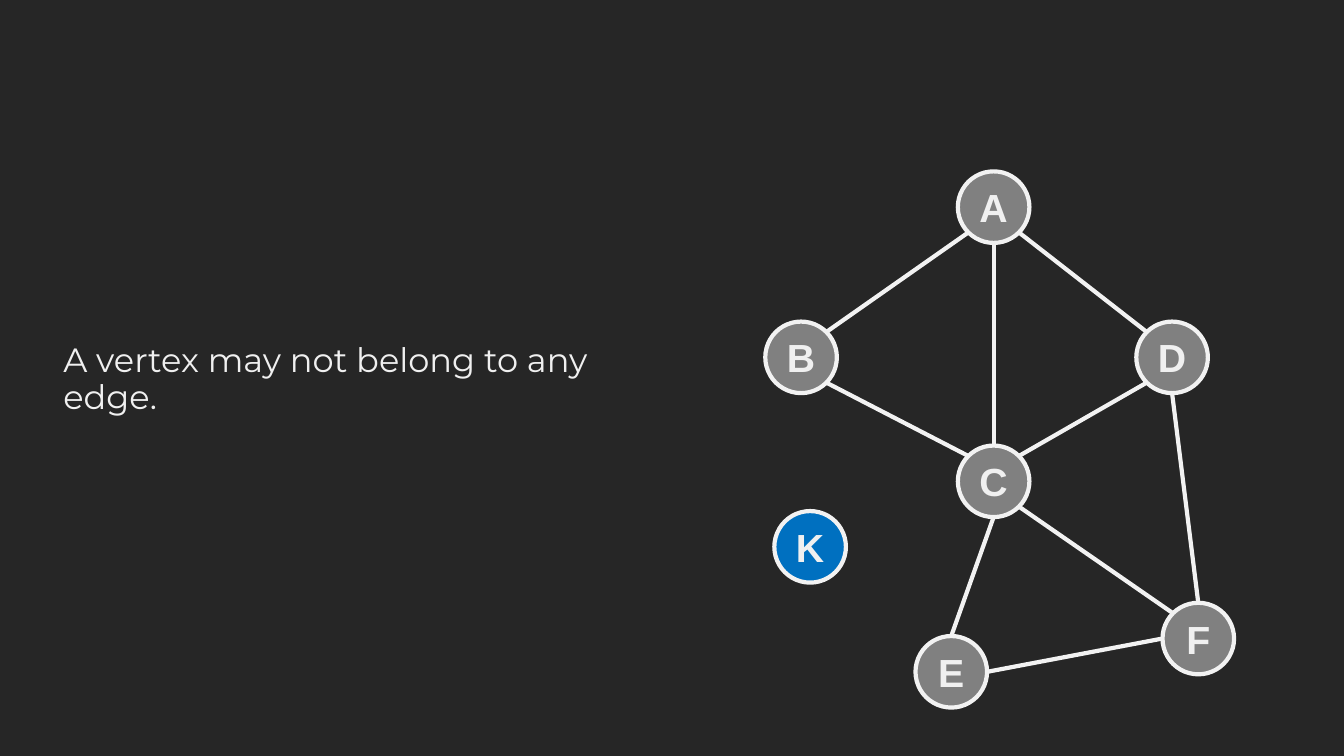
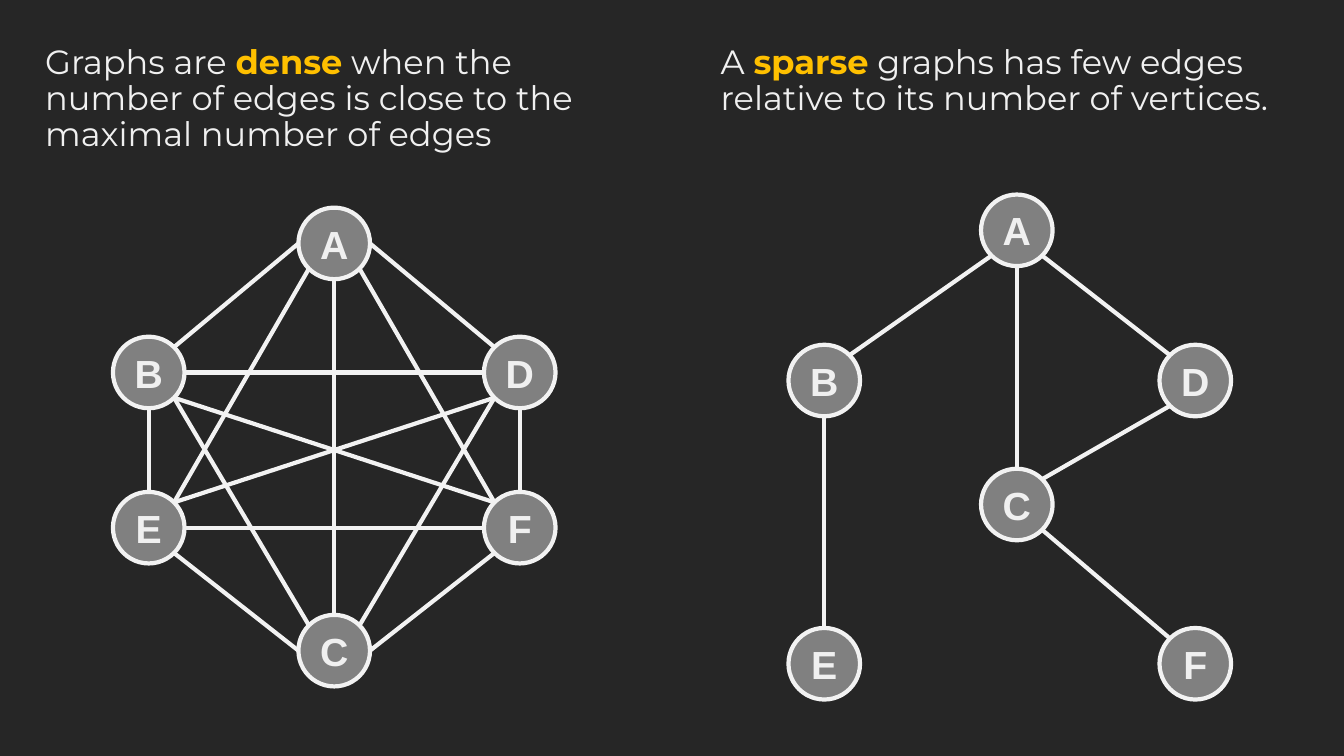
from lxml import etree
from pptx import Presentation
from pptx.dml.color import RGBColor
from pptx.enum.shapes import MSO_CONNECTOR, MSO_SHAPE
from pptx.enum.text import MSO_ANCHOR, PP_ALIGN
from pptx.oxml.ns import qn
from pptx.util import Inches, Pt

COLORS = {
    name: RGBColor.from_string(value)
    for name, value in {
        "background": "262626",
        "text": "F0F0F0",
        "accent": "FFC000",
        "outline": "F2F2F2",
        "vertex": "808080",
        "isolated": "0070C0",
    }.items()
}
DIAMETER = 0.71
DIAGONAL = 0.5 ** 0.5
# Each side of a circle: connection site index and unit offset from the centre
SITES = {
    "n": (0, 0, -1),
    "nw": (1, -DIAGONAL, -DIAGONAL),
    "w": (2, -1, 0),
    "sw": (3, -DIAGONAL, DIAGONAL),
    "s": (4, 0, 1),
    "se": (5, DIAGONAL, DIAGONAL),
    "e": (6, 1, 0),
    "ne": (7, DIAGONAL, -DIAGONAL),
}


def add_statement(slide, place, parts, anchor=MSO_ANCHOR.TOP):
    """Add a text box; parts alternate between plain and highlighted text."""
    box = slide.shapes.add_textbox(*map(Inches, place))
    frame = box.text_frame
    frame.word_wrap = True
    frame.vertical_anchor = anchor
    para = frame.paragraphs[0]
    para.line_spacing = 0.9
    para.space_before = Pt(10)
    para.font.name = "Montserrat"
    para.font.size = Pt(24)
    for index, text in enumerate(parts):
        highlighted = index % 2 == 1
        span = para.add_run()
        span.text = text
        span.font.bold = highlighted
        span.font.color.rgb = COLORS["accent" if highlighted else "text"]


def add_graph(shapes, vertices, edges):
    """Draw vertices {label: (left, top)} and edges such as "A se D nw"."""
    circles = {}
    for label, (left, top) in vertices.items():
        circle = shapes.add_shape(
            MSO_SHAPE.OVAL, Inches(left), Inches(top), Inches(DIAMETER), Inches(DIAMETER)
        )
        circle.shadow.inherit = False
        circle.fill.solid()
        circle.fill.fore_color.rgb = COLORS["isolated" if label == "K" else "vertex"]
        circle.line.color.rgb = COLORS["outline"]
        circle.line.width = Pt(3)
        frame = circle.text_frame
        frame.margin_left = frame.margin_right = 0
        frame.vertical_anchor = MSO_ANCHOR.MIDDLE
        para = frame.paragraphs[0]
        para.text = label
        para.alignment = PP_ALIGN.CENTER
        para.font.name = "Arial"
        para.font.size = Pt(28)
        para.font.bold = True
        para.font.color.rgb = COLORS["text"]
        circles[label] = circle

    for edge in edges:
        start, start_side, end, end_side = edge.split()
        points, joints = [], []
        for label, side in ((start, start_side), (end, end_side)):
            site, across, down = SITES[side]
            left, top = vertices[label]
            points += [
                Inches(left + DIAMETER / 2 * (1 + across)),
                Inches(top + DIAMETER / 2 * (1 + down)),
            ]
            joints.append((circles[label].shape_id, site))
        line = shapes.add_connector(MSO_CONNECTOR.STRAIGHT, *points)
        line.line.color.rgb = COLORS["outline"]
        line.line.width = Pt(3)
        etree.SubElement(line._element.spPr, qn("a:effectLst"))
        # begin_connect knows four sites only; a circle has eight
        properties = line._element.find(".//" + qn("p:cNvCxnSpPr"))
        for tag, (shape_id, site) in zip(("a:stCxn", "a:endCxn"), joints):
            etree.SubElement(properties, qn(tag), id=str(shape_id), idx=str(site))


deck = Presentation()
deck.slide_width = Inches(13.33)
deck.slide_height = Inches(7.5)
backdrop = deck.slide_master.background.fill
backdrop.solid()
backdrop.fore_color.rgb = COLORS["background"]
blank = deck.slide_layouts[6]

# Isolated vertex
slide = deck.slides.add_slide(blank)
add_statement(
    slide, (0.53, 0.6, 6.16, 6.34), ["A vertex may not belong to any edge."], MSO_ANCHOR.MIDDLE
)
add_graph(
    slide.shapes,
    {
        "A": (9.5, 1.7), "F": (11.53, 5.98), "B": (7.59, 3.19), "C": (9.5, 4.42),
        "D": (11.27, 3.19), "E": (9.08, 6.31), "K": (7.68, 5.07),
    },
    [
        "A se D nw", "A sw B ne", "A s C n", "B se C nw", "C s E n",
        "E e F w", "C se F nw", "D s F n", "C ne D sw",
    ],
)

# Dense and sparse graphs
slide = deck.slides.add_slide(blank)
add_statement(
    slide,
    (0.35, 0.4, 6.04, 1.43),
    ["Graphs are ", "dense", " when the number of edges is close to the maximal number of edges"],
)
add_statement(
    slide,
    (7.05, 0.4, 5.86, 1.39),
    ["A ", "sparse", " graphs has few edges relative to its number of vertices."],
)
add_graph(
    slide.shapes.add_group_shape().shapes,
    {
        "A": (9.73, 1.93), "F": (11.5, 6.23), "B": (7.82, 3.42),
        "C": (9.73, 4.65), "D": (11.5, 3.42), "E": (7.82, 6.23),
    },
    ["A se D nw", "A sw B ne", "A s C n", "C se F nw", "C ne D sw", "B s E n"],
)
add_graph(
    slide.shapes.add_group_shape().shapes,
    {
        "A": (2.96, 2.06), "F": (4.8, 4.88), "B": (1.12, 3.34),
        "C": (2.96, 6.1), "D": (4.8, 3.34), "E": (1.12, 4.88),
    },
    [
        "A e D nw", "A w B ne", "A s C n", "B se C nw", "C w E se",
        "E e F w", "C e F sw", "D s F n", "C ne D sw", "D w B e",
        "B s E n", "A sw E ne", "A se F nw", "D sw E ne", "B se F nw",
    ],
)

deck.save("out.pptx")
